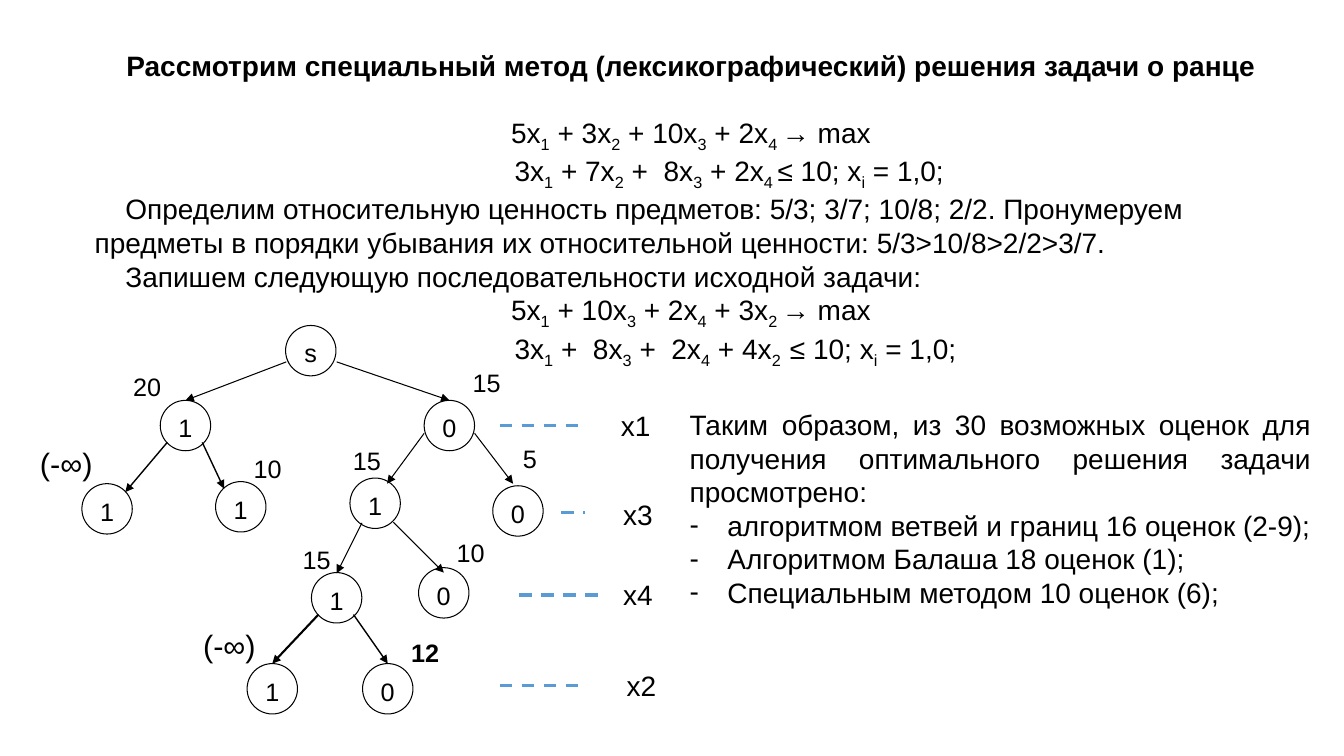
from lxml import etree
from pptx import Presentation
from pptx.dml.color import RGBColor
from pptx.enum.dml import MSO_LINE
from pptx.enum.shapes import MSO_CONNECTOR, MSO_SHAPE
from pptx.enum.text import MSO_ANCHOR, MSO_AUTO_SIZE, PP_ALIGN
from pptx.oxml.ns import qn
from pptx.util import Pt

LEFT, CENTER, JUSTIFY = PP_ALIGN.LEFT, PP_ALIGN.CENTER, PP_ALIGN.JUSTIFY
TOP = MSO_ANCHOR.TOP
GROW = MSO_AUTO_SIZE.SHAPE_TO_FIT_TEXT
OVAL = MSO_SHAPE.OVAL
STRAIGHT = MSO_CONNECTOR.STRAIGHT
DASH = MSO_LINE.DASH
COLORS = {"text": "000000", "node": "FFFFFF", "level": "5B9BD5"}
NODE = 36


def write(tf, text, size=20, bold=False, align=LEFT, margin=0, indent=0, bullet=None):
    p = tf.paragraphs[0]
    if p.runs:
        p = tf.add_paragraph()
    p.alignment = align
    pPr = p._p.get_or_add_pPr()
    pPr.set("marL", str(Pt(margin)))
    pPr.set("indent", str(Pt(indent)))
    if bullet:
        etree.SubElement(pPr, qn("a:buFont")).set("typeface", "Arial")
        etree.SubElement(pPr, qn("a:buChar")).set("char", bullet)
    for i, part in enumerate(text.split("_")):
        r = p.add_run()
        r.text = part
        r.font.name = "Arial"
        r.font.size = Pt(size)
        r.font.bold = bold
        r.font.color.rgb = RGBColor.from_string(COLORS["text"])
        if i % 2:
            r.font._element.set("baseline", "-25000")


def add_line(x1, y1, x2, y2, color, width):
    line = s.shapes.add_connector(STRAIGHT, Pt(x1), Pt(y1), Pt(x2), Pt(y2))
    line.line.color.rgb = RGBColor.from_string(COLORS[color])
    line.line.width = Pt(width)
    etree.SubElement(line._element.spPr, qn("a:effectLst"))
    return line


prs = Presentation()
prs.slide_width, prs.slide_height = Pt(960), Pt(540)
s = prs.slides.add_slide(prs.slide_layouts[5])

title = s.shapes.title
title.left, title.top, title.width, title.height = Pt(60.5), Pt(31), Pt(866), Pt(32)
tf = title.text_frame
tf.vertical_anchor = TOP
tf.auto_size = MSO_AUTO_SIZE.NONE
write(tf, "Рассмотрим специальный метод (лексикографический) решения задачи о ранце",
      bold=True, align=CENTER)

nodes = [
    ("s", 204, 232.5), ("1", 114.5, 286), ("0", 303, 286),
    ("1", 58.5, 345.5), ("1", 154, 344), ("1", 250, 341.5), ("0", 352, 347),
    ("1", 222.5, 409), ("0", 299, 405.5), ("1", 176.5, 474), ("0", 259, 474),
]
for text, x, y in nodes:
    sp = s.shapes.add_shape(OVAL, Pt(x), Pt(y), Pt(NODE), Pt(NODE))
    sp.shadow.inherit = False
    sp.fill.solid()
    sp.fill.fore_color.rgb = RGBColor.from_string(COLORS["node"])
    sp.line.color.rgb = RGBColor.from_string(COLORS["text"])
    sp.line.width = Pt(0.75)
    sp.text_frame.vertical_anchor = TOP
    write(sp.text_frame, text, size=18, align=CENTER)

arrows = [
    (204.5, 258.5, 132.5, 286, 0.75), (240.5, 258.5, 321, 286, 0.75),
    (303, 309.5, 276.5, 345.5, 0.75), (339, 309.5, 366.5, 345.5, 0.75),
    (258.5, 373.5, 240.5, 409.5, 0.75), (281, 373, 317, 409, 0.75),
    (119.5, 316, 89.5, 351.5, 1), (144.5, 316, 160, 349, 1),
    (227.5, 439, 194.5, 474, 1.5), (252.5, 439, 277, 474, 1),
]
for x1, y1, x2, y2, width in arrows:
    arrow = add_line(x1, y1, x2, y2, "text", width)
    ln = arrow.line._get_or_add_ln()
    etree.SubElement(ln, qn("a:tailEnd")).set("type", "triangle")

for x1, x2, y in [(357, 418, 304), (401, 418, 366), (371, 432, 425), (357, 418, 489.5)]:
    add_line(x1, y, x2, y, "level", 2.25).line.dash_style = DASH

labels = [
    ("x1", 436.5, 288.5, 36, 20, False), ("x3", 438, 352, 36, 20, False),
    ("x4", 438, 409, 36, 20, False), ("x2", 440.5, 474, 36, 20, False),
    ("20", 88, 262, 34.5, 18, False), ("15", 330.5, 258.5, 34.5, 18, False),
    ("15", 245, 314.5, 34.5, 18, False), ("5", 366.5, 313, 24.5, 18, False),
    ("10", 174, 320.5, 39.5, 18, False), ("15", 209, 385, 34.5, 18, False),
    ("10", 319, 380, 39.5, 18, False), ("12", 286.5, 451.5, 34.5, 18, True),
    ("(-∞)", 21.5, 314, 52.5, 22, False), ("(-∞)", 138, 444, 52.5, 22, False),
]
for text, x, y, w, size, bold in labels:
    tf = s.shapes.add_textbox(Pt(x), Pt(y), Pt(w), Pt(size * 1.2 + 7.2)).text_frame
    tf.word_wrap = False
    tf.auto_size = GROW
    write(tf, text, size=size, bold=bold)

tf = s.shapes.add_textbox(Pt(60.5), Pt(79), Pt(866), Pt(177)).text_frame
tf.word_wrap = True
write(tf, "5x_1_ + 3x_2_ + 10x_3_ + 2x_4 _→ max", align=CENTER)
write(tf, "3x_1_ + 7x_2_ +  8x_3_ + 2x_4 _≤ 10; x_i_ = 1,0;", indent=300)
write(tf, "Определим относительную ценность предметов: 5/3; 3/7; 10/8; 2/2. "
      "Пронумеруем предметы в порядки убывания их относительной ценности: "
      "5/3>10/8>2/2>3/7.", indent=22)
write(tf, "Запишем следующую последовательности исходной задачи:", indent=22)
write(tf, "5x_1_ + 10x_3_ + 2x_4_ + 3x_2 _→ max", align=CENTER)
write(tf, "3x_1_ +  8x_3_ +  2x_4_ + 4x_2  _≤ 10; x_i_ = 1,0;", indent=300)

tf = s.shapes.add_textbox(Pt(485.5), Pt(287.5), Pt(458), Pt(177)).text_frame
tf.word_wrap = True
write(tf, "Таким образом, из 30 возможных оценок для получения "
      "оптимального решения задачи просмотрено:", align=JUSTIFY)
for text in ["алгоритмом ветвей и границ 16 оценок (2-9);",
             "Алгоритмом Балаша 18 оценок (1);",
             "Специальным методом 10 оценок (6);"]:
    write(tf, text, align=JUSTIFY, margin=27, indent=-27, bullet="-")

prs.save("out.pptx")
